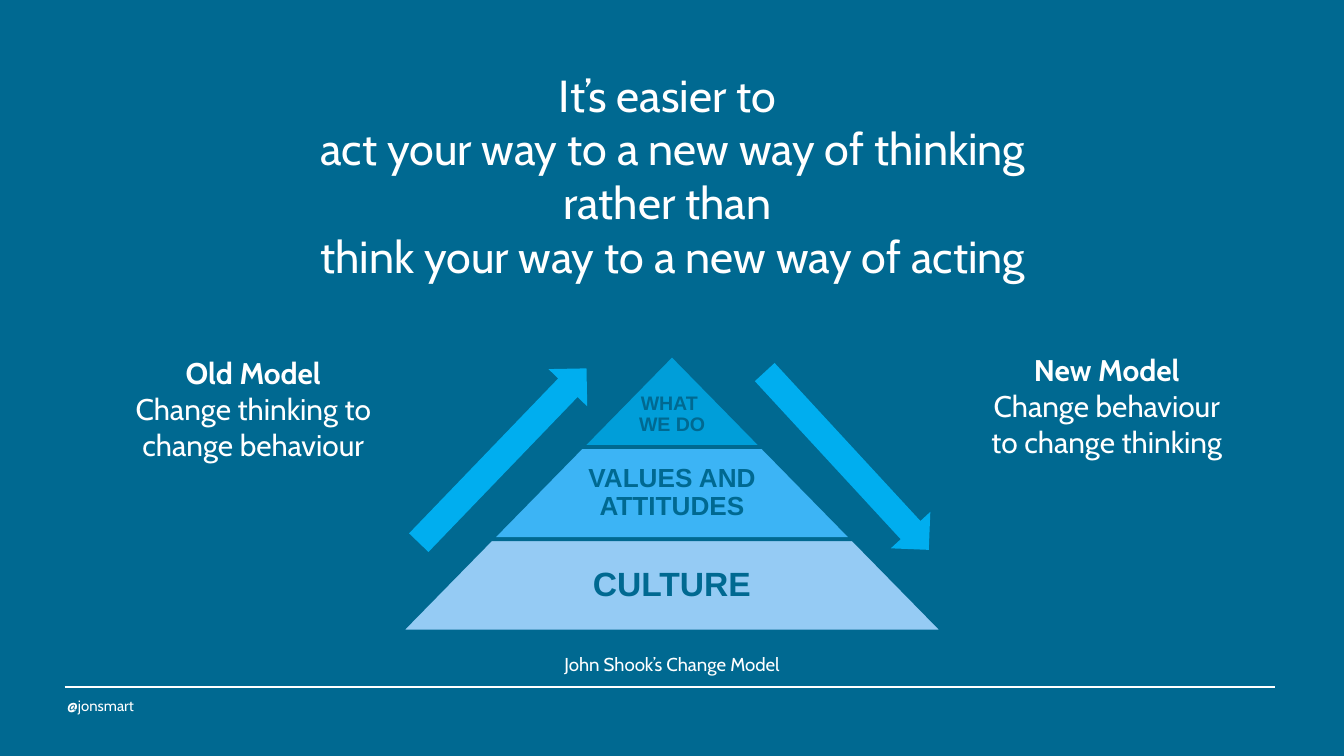
from collections import namedtuple
from dataclasses import dataclass

from lxml import etree
from pptx import Presentation
from pptx import util as u
from pptx.dml.color import RGBColor
from pptx.enum import shapes, text
from pptx.oxml import ns

Box = namedtuple("Box", "left top width height")
Tier = namedtuple("Tier", "lines fill size label_share margins")


@dataclass(frozen=True)
class Theme:
    background: str = "006991"
    light: str = "FFFFFF"
    arrow: str = "00AEEF"
    peak: str = "009ED9"
    middle: str = "3CB4F5"
    base: str = "95CBF4"
    body_font: str = "Cabin"
    pyramid_font: str = "Arial"
    headline: float = 24
    model: float = 16
    caption: float = 10
    handle: float = 8


THEME = Theme()


def color(value):
    return RGBColor.from_string(value)


def place(box):
    return [u.Inches(length) for length in box]


def write(slide, box, lines, size, ink=THEME.light, font=THEME.body_font,
          bold_lines=0, align=text.PP_ALIGN.CENTER, anchor=text.MSO_ANCHOR.TOP,
          margins=(0, 0, 0, 0), spacing=None):
    frame = slide.shapes.add_textbox(*place(box)).text_frame
    frame.word_wrap = True
    frame.vertical_anchor = anchor
    (frame.margin_left, frame.margin_top,
     frame.margin_right, frame.margin_bottom) = place(margins)
    for index, line in enumerate(lines):
        paragraph = frame.add_paragraph() if index else frame.paragraphs[0]
        paragraph.alignment = align
        if spacing:
            paragraph.line_spacing = spacing
        run = paragraph.add_run()
        run.text = line
        run.font.name = font
        run.font.size = u.Pt(size)
        run.font.bold = index < bold_lines
        run.font.color.rgb = color(ink)


def add_filled(slide, kind, box, fill):
    shape = slide.shapes.add_shape(kind, *place(box))
    shape.shadow.inherit = False
    shape.fill.solid()
    shape.fill.fore_color.rgb = color(fill)
    shape.line.fill.background()
    return shape


def add_footer(slide, box):
    rule = slide.shapes.add_connector(
        shapes.MSO_CONNECTOR.STRAIGHT,
        *place((box.left, box.top, box.left + box.width, box.top)))
    rule.line.color.rgb = color(THEME.light)
    rule.line.width = u.Pt(1)
    etree.SubElement(rule._element.spPr, ns.qn("a:effectLst"))
    write(slide, Box(box.left + 0.02, box.top + 0.08, 4.83, 0.13),
          ["@jonsmart"], THEME.handle, align=text.PP_ALIGN.LEFT,
          anchor=text.MSO_ANCHOR.BOTTOM)


def add_headline(slide, box):
    write(slide, box, [
        "It’s easier to ",
        "act your way to a new way of thinking",
        "rather than ",
        "think your way to a new way of acting",
    ], THEME.headline)


def add_pyramid(slide, box):
    tiers = [
        Tier(["WHAT ", "WE DO"], THEME.peak, 10.5, 1, (0.02, 0.23, 0.02, 0.02)),
        Tier(["VALUES AND ATTITUDES"], THEME.middle, 14, 0.65, (0.02,) * 4),
        Tier(["CULTURE"], THEME.base, 18, 0.65, (0.03,) * 4),
    ]
    center = box.left + box.width / 2
    height = box.height / len(tiers)
    for index, tier in enumerate(tiers):
        top = box.top + index * height
        width = box.width * (index + 1) / len(tiers)
        level = add_filled(slide, shapes.MSO_SHAPE.TRAPEZOID,
                           Box(center - width / 2, top, width, height), tier.fill)
        level.adjustments[0] = 0.98
        level.line.color.rgb = color(THEME.background)
        level.line.width = u.Pt(2)
        label_width = width * tier.label_share
        write(slide, Box(center - label_width / 2, top, label_width, height),
              tier.lines, tier.size, THEME.background, THEME.pyramid_font,
              bold_lines=len(tier.lines), anchor=text.MSO_ANCHOR.MIDDLE,
              margins=tier.margins, spacing=0.9)


def add_direction(slide, box, angle):
    arrow = add_filled(slide, shapes.MSO_SHAPE.UP_ARROW, box, THEME.arrow)
    arrow.rotation = angle


def add_model(slide, box, name, summary):
    write(slide, box, [name, summary], THEME.model, bold_lines=1)


def add_caption(slide, box):
    write(slide, box, ["John Shook’s Change Model"], THEME.caption)


def main():
    deck = Presentation()
    deck.slide_width = u.Inches(10)
    deck.slide_height = deck.slide_width * 9 // 16
    slide = deck.slides.add_slide(deck.slide_layouts[6])
    slide.background.fill.solid()
    slide.background.fill.fore_color.rgb = color(THEME.background)

    add_footer(slide, Box(0.48, 5.11, 9.01, 0.21))
    add_headline(slide, Box(0.69, 0.5, 8.63, 1.62))
    add_pyramid(slide, Box(2.98, 2.64, 4.04, 2.06))
    add_direction(slide, Box(3.54, 2.49, 0.4, 1.8), 43.9)
    add_direction(slide, Box(6.1, 2.53, 0.4, 1.8), 137.3)
    add_model(slide, Box(0.91, 2.64, 1.95, 0.81),
              "Old Model", "Change thinking to change behaviour")
    add_model(slide, Box(7.29, 2.62, 1.89, 0.81),
              "New Model", "Change behaviour to change thinking")
    add_caption(slide, Box(3.08, 4.86, 3.84, 0.17))
    deck.save("out.pptx")


if __name__ == "__main__":
    main()
